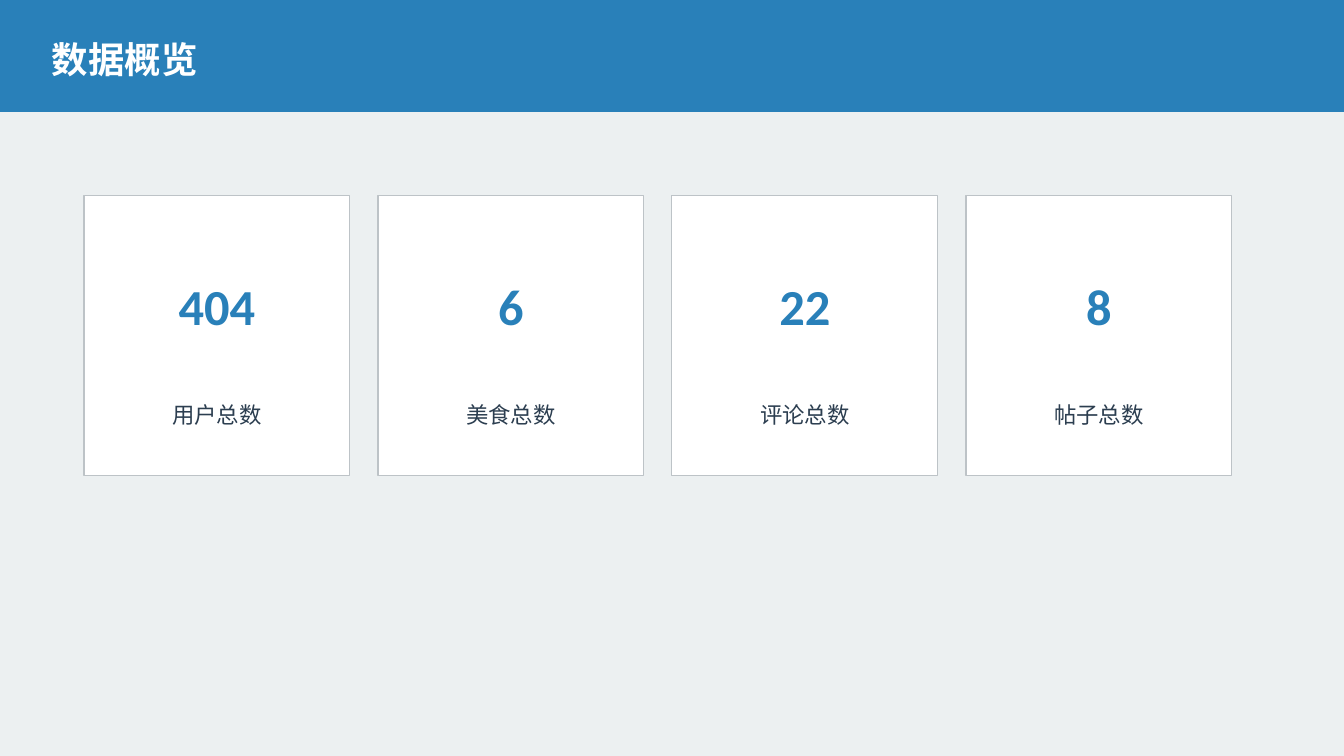
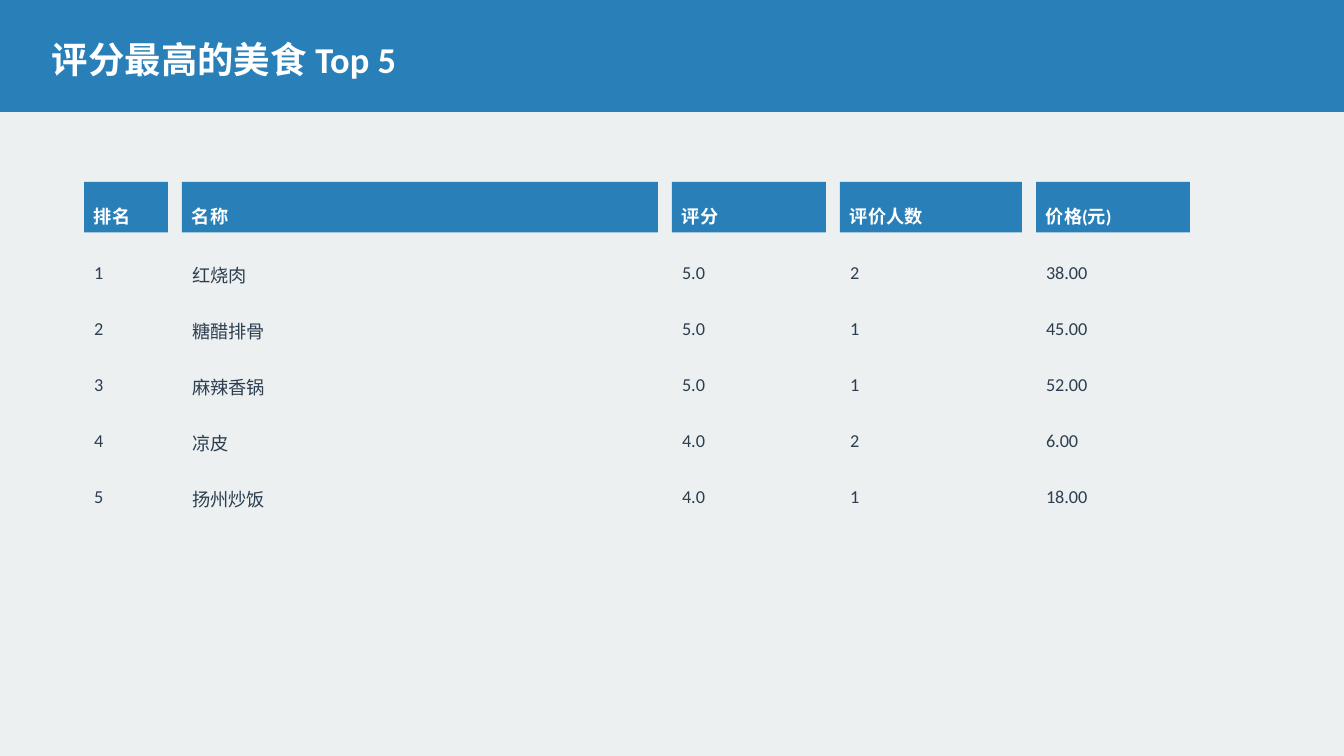
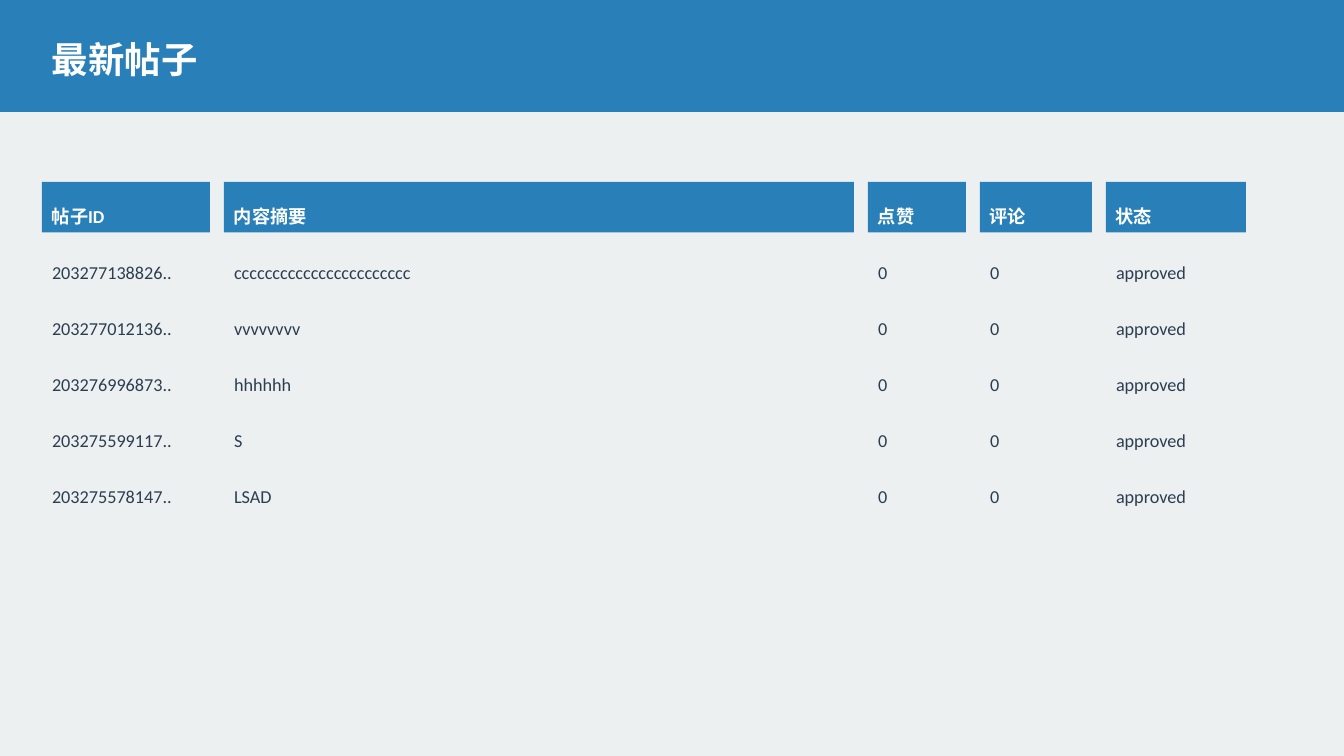
from dataclasses import dataclass

from pptx import Presentation, util as u
from pptx.dml.color import RGBColor
from pptx.enum import shapes, text
from pptx.oxml.ns import qn


@dataclass(frozen=True)
class Theme:
    font: str = "Calibri"
    blue: str = "2980B9"
    pale: str = "ECF0F1"
    white: str = "FFFFFF"
    edge: str = "BDC3C7"
    ink: str = "2C3E50"
    title: int = 26
    number: int = 36
    label: int = 16
    cell: int = 13


T = Theme()
COLS, ROWS = 96, 54  # the slide as a grid of 10 pt squares
UNIT = u.Pt(10)
DROP, CELL_DROP = u.Pt(16.5), u.Pt(17)  # space above the text
NO_STYLE = "{2D5ABB26-0587-4C30-8999-92F81FD0307C}"


def add_box(s, left, top, width, height, fill=None, line=None):
    """Adds a rectangle, or a text box when there is no fill; lengths in squares."""
    place = [u.Emu(round(n * UNIT)) for n in (left, top, width, height)]
    if fill is None:
        sp = s.shapes.add_textbox(*place)
    else:
        sp = s.shapes.add_shape(shapes.MSO_SHAPE.RECTANGLE, *place)
        sp.shadow.inherit = False
        sp.fill.solid()
        sp.fill.fore_color.rgb = RGBColor.from_string(fill)
        if line:
            sp.line.color.rgb = RGBColor.from_string(line)
            sp.line.width = u.Pt(0.75)
        else:
            sp.line.fill.background()
    tf = sp.text_frame
    tf.word_wrap = True
    tf.vertical_anchor = text.MSO_ANCHOR.TOP
    tf.margin_top = DROP
    return tf


def write(tf, words, size, color, bold=False, align=text.PP_ALIGN.LEFT):
    tf.text = words
    p = tf.paragraphs[0]
    p.alignment = align
    for r in p.runs:
        r.font.name = T.font
        r.font.size = u.Pt(size)
        r.font.bold = bold
        r.font.color.rgb = RGBColor.from_string(color)


prs = Presentation()
prs.slide_width, prs.slide_height = COLS * UNIT, ROWS * UNIT

cards = [("404", "用户总数"), ("6", "美食总数"), ("22", "评论总数"), ("8", "帖子总数")]

dish_heads = ("排名", "名称", "评分", "评价人数", "价格(元)")
dishes = [
    ("1", "红烧肉", "5.0", "2", "38.00"),
    ("2", "糖醋排骨", "5.0", "1", "45.00"),
    ("3", "麻辣香锅", "5.0", "1", "52.00"),
    ("4", "凉皮", "4.0", "2", "6.00"),
    ("5", "扬州炒饭", "4.0", "1", "18.00"),
]

post_heads = ("帖子ID", "内容摘要", "点赞", "评论", "状态")
posts = [
    ("203277138826..", "ccccccccccccccccccccccc", "0", "0", "approved"),
    ("203277012136..", "vvvvvvvv", "0", "0", "approved"),
    ("203276996873..", "hhhhhh", "0", "0", "approved"),
    ("203275599117..", "S", "0", "0", "approved"),
    ("203275578147..", "LSAD", "0", "0", "approved"),
]

# Every slide: pale ground, blue band and title
slides = []
for title in ("数据概览", "评分最高的美食 Top 5", "最新帖子"):
    s = prs.slides.add_slide(prs.slide_layouts[6])
    add_box(s, 0, 0, COLS, ROWS, T.pale, T.pale)
    add_box(s, 0, 0, COLS, 8, T.blue, T.blue)
    write(add_box(s, 3, 1, 90, 6), title, T.title, T.white, bold=True)
    slides.append(s)

# Overview: four equal cards
card_width, card_gap = 19, 2
for i, (number, label) in enumerate(cards):
    left = 6 + i * (card_width + card_gap)
    add_box(slides[0], left, 14, card_width, 20, T.white, T.edge)
    write(add_box(slides[0], left, 18, card_width, 8), number,
          T.number, T.blue, bold=True, align=text.PP_ALIGN.CENTER)
    write(add_box(slides[0], left, 27, card_width, 4), label,
          T.label, T.ink, align=text.PP_ALIGN.CENTER)

# Lists: separate blue heads above a plain table, one square between columns
gap, row_height = 1, 4
for s, heads, rows, left, widths in (
        (slides[1], dish_heads, dishes, 6, (6, 34, 11, 13, 11)),
        (slides[2], post_heads, posts, 3, (12, 45, 7, 8, 10))):
    steps = [width + gap for width in widths]
    for i, (head, width) in enumerate(zip(heads, widths)):
        tf = add_box(s, left + sum(steps[:i]), 13, width, 3.6, T.blue)
        tf.margin_top, tf.margin_bottom = CELL_DROP, 0
        write(tf, head, T.cell, T.white, bold=True)

    table = s.shapes.add_table(
        len(rows), len(steps), left * UNIT, 17 * UNIT,
        sum(steps) * UNIT, len(rows) * row_height * UNIT).table
    table.first_row = table.horz_banding = False
    table._tbl.tblPr.find(qn("a:tableStyleId")).text = NO_STYLE
    for column, step in zip(table.columns, steps):
        column.width = step * UNIT
    for row, values in zip(table.rows, rows):
        row.height = row_height * UNIT
        for cell, value in zip(row.cells, values):
            cell.fill.background()
            cell.margin_top, cell.margin_bottom = CELL_DROP, 0
            write(cell.text_frame, value, T.cell, T.ink)

prs.save("out.pptx")
